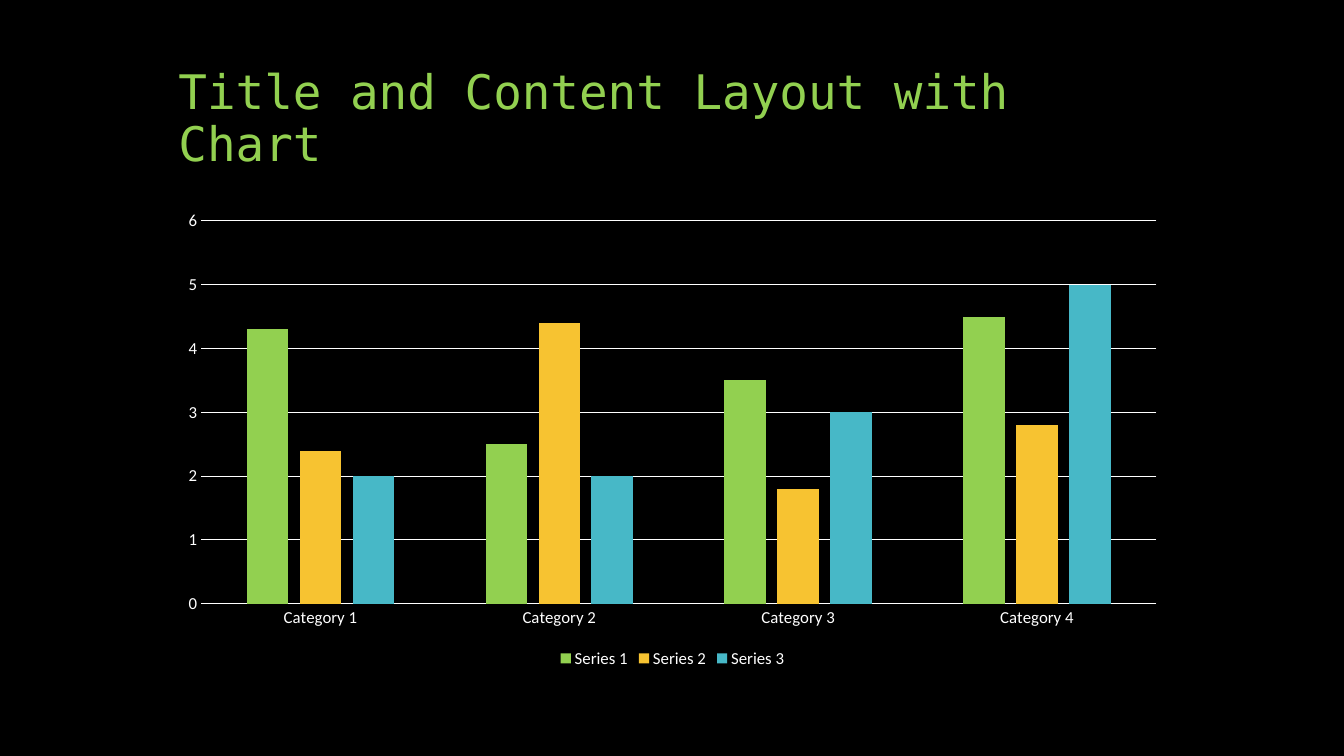
from pptx import Presentation
from pptx.chart.data import CategoryChartData
from pptx.dml.color import RGBColor
from pptx.enum.chart import XL_CHART_TYPE, XL_LEGEND_POSITION, XL_TICK_MARK
from pptx.enum.text import MSO_ANCHOR, MSO_AUTO_SIZE, PP_ALIGN
from pptx.util import Inches, Pt

BLACK = RGBColor(0x00, 0x00, 0x00)
WHITE = RGBColor(0xFF, 0xFF, 0xFF)
GREEN = RGBColor(0x92, 0xD0, 0x50)
YELLOW = RGBColor(0xF7, 0xC3, 0x31)
TEAL = RGBColor(0x47, 0xB8, 0xC7)

TITLE_FONT = "DejaVu Sans Mono"
CHART_FONT = "Calibri"
TITLE_ONLY_LAYOUT = 5

CATEGORIES = ["Category 1", "Category 2", "Category 3", "Category 4"]
SERIES = [
    ("Series 1", (4.3, 2.5, 3.5, 4.5), GREEN),
    ("Series 2", (2.4, 4.4, 1.8, 2.8), YELLOW),
    ("Series 3", (2, 2, 3, 5), TEAL),
]


def style_font(font, size, color, name):
    """Set the size, colour and typeface of a font."""
    font.size = Pt(size)
    font.color.rgb = color
    font.name = name


def write_text(frame, text, size, color, font, spacing=1.0, anchor=MSO_ANCHOR.TOP):
    """Write one formatted paragraph into a text frame."""
    frame.word_wrap = True
    frame.auto_size = MSO_AUTO_SIZE.NONE
    frame.vertical_anchor = anchor
    para = frame.paragraphs[0]
    para.alignment = PP_ALIGN.LEFT
    para.line_spacing = spacing
    span = para.add_run()
    span.text = text
    style_font(span.font, size, color, font)


def style_line(line):
    """Make a chart line thin and white."""
    line.color.rgb = WHITE
    line.width = Pt(0.75)


def place_title(page, text, left, top, width, height):
    """Fill the title placeholder and fit it to the given box."""
    box = page.shapes.title
    box.left, box.top, box.width, box.height = left, top, width, height
    write_text(box.text_frame, text, size=34, color=GREEN, font=TITLE_FONT,
               spacing=0.9, anchor=MSO_ANCHOR.BOTTOM)


def style_axes(chart):
    """Format both axes and the horizontal gridlines."""
    for axis in (chart.category_axis, chart.value_axis):
        axis.major_tick_mark = XL_TICK_MARK.NONE
        axis.minor_tick_mark = XL_TICK_MARK.NONE
        style_font(axis.tick_labels.font, 12, WHITE, CHART_FONT)
    chart.category_axis.has_major_gridlines = False
    style_line(chart.category_axis.format.line)
    chart.value_axis.format.line.fill.background()
    chart.value_axis.has_major_gridlines = True
    style_line(chart.value_axis.major_gridlines.format.line)


def place_chart(page, left, top, width, height):
    """Draw the clustered column chart in the given box."""
    data = CategoryChartData()
    data.categories = CATEGORIES
    for name, values, _ in SERIES:
        data.add_series(name, values)
    chart = page.shapes.add_chart(
        XL_CHART_TYPE.COLUMN_CLUSTERED, left, top, width, height, data).chart
    style_font(chart.font, 10, WHITE, CHART_FONT)
    chart.has_title = False
    chart.has_legend = True
    chart.legend.position = XL_LEGEND_POSITION.BOTTOM
    chart.legend.include_in_layout = False
    style_font(chart.legend.font, 12, WHITE, CHART_FONT)
    style_axes(chart)
    plot = chart.plots[0]
    plot.gap_width = 219
    plot.overlap = -27
    plot.vary_by_categories = False
    for series, (_, _, color) in zip(plot.series, SERIES):
        series.invert_if_negative = False
        series.format.fill.solid()
        series.format.fill.fore_color.rgb = color


def build_chart_slide(deck):
    """Add the black slide with a title above a chart."""
    page = deck.slides.add_slide(deck.slide_layouts[TITLE_ONLY_LAYOUT])
    page.background.fill.solid()
    page.background.fill.fore_color.rgb = BLACK
    left, width = Inches(1.67), Inches(10)
    place_title(page, "Title and Content Layout with Chart",
                left, Inches(0.5), width, Inches(1.25))
    place_chart(page, left, Inches(2), width, Inches(4.67))


def main():
    """Build the deck and save it."""
    deck = Presentation()
    deck.slide_width, deck.slide_height = Inches(13.33), Inches(7.5)
    build_chart_slide(deck)
    deck.save("out.pptx")


if __name__ == "__main__":
    main()
